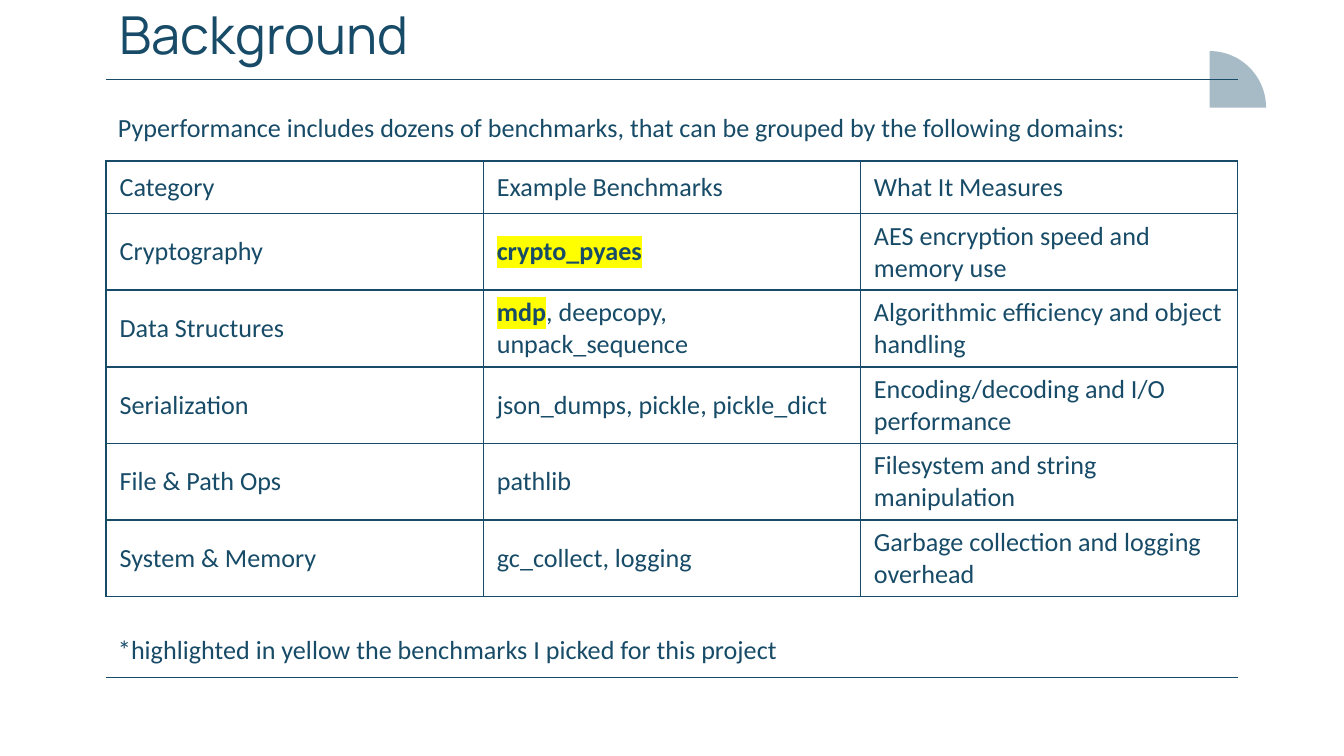
from math import cos, pi, sin

from lxml.etree import SubElement
from pptx import Presentation
from pptx.dml.color import RGBColor
from pptx.enum.shapes import MSO_CONNECTOR
from pptx.enum.text import MSO_ANCHOR
from pptx.oxml import parse_xml
from pptx.oxml.ns import nsdecls, qn
from pptx.util import Inches, Pt

NAVY = RGBColor(0x17, 0x4B, 0x67)
GREY_BLUE = RGBColor(0xA7, 0xBB, 0xC7)
WHITE = RGBColor(0xFF, 0xFF, 0xFF)
YELLOW = RGBColor(0xFF, 0xFF, 0x00)

# Content
TITLE = "Background"
INTRO = "Pyperformance includes dozens of benchmarks, that can be grouped by the following domains:"
FOOTNOTE = "*highlighted in yellow the benchmarks I picked for this project"
PICKED = ("crypto_pyaes", "mdp")
ROWS = [
    ("Category", "Example Benchmarks", "What It Measures"),
    ("Cryptography", "crypto_pyaes", "AES encryption speed and memory use"),
    ("Data Structures", "mdp, deepcopy, unpack_sequence",
     "Algorithmic efficiency and object handling"),
    ("Serialization", "json_dumps, pickle, pickle_dict",
     "Encoding/decoding and I/O performance"),
    ("File & Path Ops", "pathlib", "Filesystem and string manipulation"),
    ("System & Memory", "gc_collect, logging", "Garbage collection and logging overhead"),
]

# Layout, in inches; the slide is 16:9
SLIDE_WIDTH = 10
SLIDE_HEIGHT = SLIDE_WIDTH * 9 / 16
LEFT, RIGHT = 0.79, 9.21
RULE_TOPS = (0.59, 5.04)
TABLE_TOP, HEADER_HEIGHT, ROW_HEIGHT = 1.2, 0.39, 0.57
CORNER_X, CORNER_Y, RADIUS = 9, 0.8, 0.42
ARC_STEPS = 48
BODY = {"name": "Calibri", "size": Pt(14), "bold": False}
HEADING = {"name": "Manrope", "size": Pt(28), "bold": False}


def add_run(paragraph, text, formats):
    run = paragraph.add_run()
    run.text = text
    for name, value in formats.items():
        setattr(run.font, name, value)
    run.font.color.rgb = NAVY
    return run


def highlight(run):
    run.font.bold = True
    mark = parse_xml(f'<a:highlight {nsdecls("a")}><a:srgbClr val="{YELLOW}"/></a:highlight>')
    run._r.rPr.find(qn("a:solidFill")).addnext(mark)


def add_text(slide, text, left, top, width, height, formats, line_spacing=1.0, margin=0.05):
    box = slide.shapes.add_textbox(Inches(left), Inches(top), Inches(width), Inches(height))
    frame = box.text_frame
    frame.word_wrap = True
    frame.margin_top = frame.margin_bottom = Inches(margin)
    paragraph = frame.paragraphs[0]
    paragraph.line_spacing = line_spacing
    add_run(paragraph, text, formats)


def add_borders(cell):
    properties = cell._tc.get_or_add_tcPr()
    for position, side in enumerate(("lnL", "lnR", "lnT", "lnB")):
        properties.insert(position, parse_xml(
            f'<a:{side} {nsdecls("a")} w="{Pt(1)}"><a:solidFill>'
            f'<a:srgbClr val="{NAVY}"/></a:solidFill></a:{side}>'))


def fill_cell(cell, text):
    cell.fill.solid()
    cell.fill.fore_color.rgb = WHITE
    cell.vertical_anchor = MSO_ANCHOR.MIDDLE
    add_borders(cell)
    paragraph = cell.text_frame.paragraphs[0]
    first, comma, rest = text.partition(",")
    if first in PICKED:
        highlight(add_run(paragraph, first, BODY))
        text = comma + rest
    if text:
        add_run(paragraph, text, BODY)


presentation = Presentation()
presentation.slide_width = Inches(SLIDE_WIDTH)
presentation.slide_height = Inches(SLIDE_HEIGHT)
slide = presentation.slides.add_slide(presentation.slide_layouts[6])

# Quarter disc in the top right corner
angles = [pi / 2 * step / ARC_STEPS for step in range(ARC_STEPS + 1)]
arc = [(Inches(CORNER_X + RADIUS * cos(angle)), Inches(CORNER_Y - RADIUS * sin(angle)))
       for angle in angles]
builder = slide.shapes.build_freeform(Inches(CORNER_X), Inches(CORNER_Y))
builder.add_line_segments(arc, close=True)
quarter_disc = builder.convert_to_shape()
quarter_disc.shadow.inherit = False
quarter_disc.fill.solid()
quarter_disc.fill.fore_color.rgb = GREY_BLUE
quarter_disc.line.fill.background()

# Rules above and below the content
for top in RULE_TOPS:
    rule = slide.shapes.add_connector(
        MSO_CONNECTOR.STRAIGHT, Inches(LEFT), Inches(top), Inches(RIGHT), Inches(top))
    rule.line.color.rgb = NAVY
    rule.line.width = Pt(0.75)
    SubElement(rule._element.spPr, qn("a:effectLst"))

# Title, introduction and footnote
add_text(slide, TITLE, LEFT, -0.08, RIGHT - LEFT, 0.63, HEADING, margin=0.1)
for text, top in ((INTRO, 0.66), (FOOTNOTE, 4.55)):
    add_text(slide, text, 0.78, top, 8.6, 0.41, BODY, line_spacing=1.5)

# Table of benchmark domains
column_count = len(ROWS[0])
heights = [HEADER_HEIGHT] + [ROW_HEIGHT] * (len(ROWS) - 1)
table = slide.shapes.add_table(
    len(ROWS), column_count, Inches(LEFT), Inches(TABLE_TOP),
    Inches(RIGHT - LEFT), Inches(sum(heights))).table
for column in table.columns:
    column.width = Inches((RIGHT - LEFT) / column_count)
for row, height, texts in zip(table.rows, heights, ROWS):
    row.height = Inches(height)
    for cell, text in zip(row.cells, texts):
        fill_cell(cell, text)

presentation.save("out.pptx")
